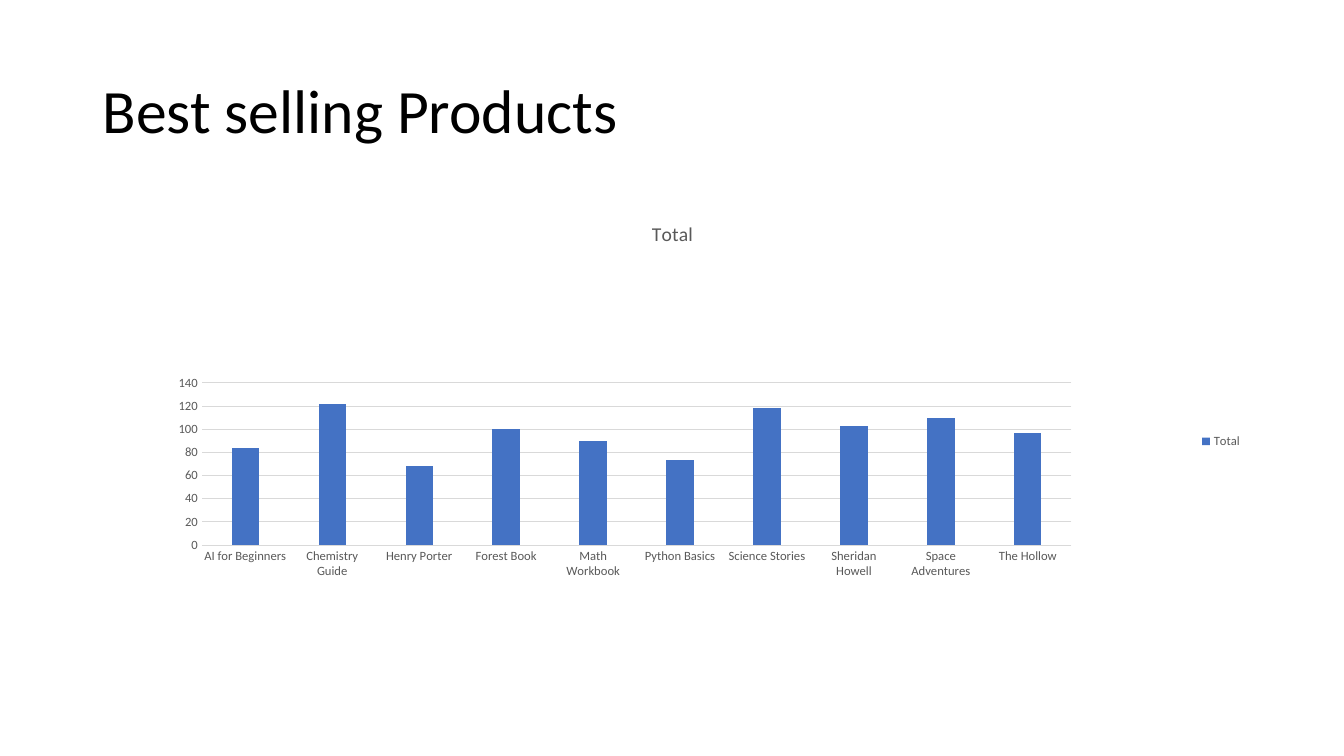
"""Build a slide with a column chart of the best selling products."""
from dataclasses import dataclass

import lxml.etree
import pptx
import pptx.chart.data
import pptx.dml.color
import pptx.enum.chart
import pptx.enum.text
import pptx.oxml
import pptx.oxml.ns
import pptx.util

Inches = pptx.util.Inches


@dataclass(frozen=True)
class Theme:
    """Hold the colours, font and type sizes of the deck."""
    font: str = "Calibri"
    ink: str = "000000"
    muted: str = "595959"
    rule: str = "D9D9D9"
    bar: str = "4472C4"
    title_size: int = 44
    chart_title_size: int = 14
    label_size: int = 9
    rule_width: float = 0.75


THEME = Theme()
SALES = {
    "AI for Beginners": 84,
    "Chemistry Guide": 122,
    "Henry Porter": 68,
    "Forest Book": 100,
    "Math Workbook": 90,
    "Python Basics": 73,
    "Science Stories": 118,
    "Sheridan Howell": 103,
    "Space Adventures": 110,
    "The Hollow": 97,
}


def rgb(code):
    """Turn a hex code into a colour."""
    return pptx.dml.color.RGBColor.from_string(code)


def style_font(font, size, color):
    """Set face, size and colour of a font."""
    font.name = THEME.font
    font.size = pptx.util.Pt(size)
    font.bold = False
    font.color.rgb = rgb(color)


def write_text(frame, text, *, size, color, align=None, spacing=None):
    """Write one formatted paragraph into a text frame."""
    para = frame.paragraphs[0]
    para.alignment = align
    para.line_spacing = spacing
    span = para.add_run()
    span.text = text
    style_font(span.font, size, color)


def style_rule(line):
    """Draw a line as a thin pale rule."""
    line.color.rgb = rgb(THEME.rule)
    line.width = pptx.util.Pt(THEME.rule_width)


def add_title(page, text, left, top, width, height):
    """Place the slide title in the given box."""
    title = page.shapes.title
    title.left, title.top, title.width, title.height = left, top, width, height
    frame = title.text_frame
    frame.word_wrap = True
    frame.auto_size = pptx.enum.text.MSO_AUTO_SIZE.NONE
    frame.vertical_anchor = pptx.enum.text.MSO_ANCHOR.MIDDLE
    write_text(frame, text, size=THEME.title_size, color=THEME.ink,
               align=pptx.enum.text.PP_ALIGN.LEFT, spacing=0.9)


def set_plot_area(chart, **fractions):
    """Fix the inner plot area as fractions of the chart box."""
    qn = pptx.oxml.ns.qn
    plot_area = chart.plots[0]._element.getparent()
    layout = plot_area.find(qn("c:layout"))
    if layout is None:
        layout = lxml.etree.Element(qn("c:layout"))
        plot_area.insert(0, layout)
    manual = lxml.etree.SubElement(layout, qn("c:manualLayout"))
    settings = {"layoutTarget": "inner", "xMode": "edge", "yMode": "edge", **fractions}
    for name, value in settings.items():
        lxml.etree.SubElement(manual, qn(f"c:{name}")).set("val", str(value))


def add_sales_chart(page, left, top, width, height):
    """Place the sales column chart in the given box."""
    data = pptx.chart.data.CategoryChartData()
    data.categories = list(SALES)
    data.add_series("Total", list(SALES.values()))
    kinds = pptx.enum.chart
    chart = page.shapes.add_chart(
        kinds.XL_CHART_TYPE.COLUMN_CLUSTERED, left, top, width, height, data).chart
    style_font(chart.font, THEME.label_size, THEME.muted)

    chart.has_title = True
    write_text(chart.chart_title.text_frame, "Total",
               size=THEME.chart_title_size, color=THEME.muted)
    chart.chart_title.include_in_layout = False
    chart.has_legend = True
    chart.legend.position = kinds.XL_LEGEND_POSITION.RIGHT
    chart.legend.include_in_layout = False
    style_font(chart.legend.font, THEME.label_size, THEME.muted)

    plot = chart.plots[0]
    plot.gap_width = 219
    plot.overlap = -27
    plot.vary_by_categories = False
    bars = plot.series[0].format.fill
    bars.solid()
    bars.fore_color.rgb = rgb(THEME.bar)

    for axis in (chart.category_axis, chart.value_axis):
        axis.major_tick_mark = kinds.XL_TICK_MARK.NONE
        axis.minor_tick_mark = kinds.XL_TICK_MARK.NONE
        style_font(axis.tick_labels.font, THEME.label_size, THEME.muted)
    style_rule(chart.category_axis.format.line)
    chart.value_axis.format.line.fill.background()
    chart.value_axis.has_major_gridlines = True
    style_rule(chart.value_axis.major_gridlines.format.line)
    set_plot_area(chart, x=0.094, y=0.378, w=0.75, h=0.338)


def build_page(deck):
    """Add the best sellers slide to the deck."""
    page = deck.slides.add_slide(deck.slide_layouts.get_by_name("Title Only"))
    left, width = Inches(0.92), Inches(11.5)
    add_title(page, "Best selling Products", left, Inches(0.4), width, Inches(1.45))
    add_sales_chart(page, left, Inches(2), width, Inches(4.76))


def main():
    """Create and save the deck."""
    deck = pptx.Presentation()
    deck.slide_width, deck.slide_height = Inches(13.33), Inches(7.5)
    build_page(deck)
    deck.save("out.pptx")


if __name__ == "__main__":
    main()
